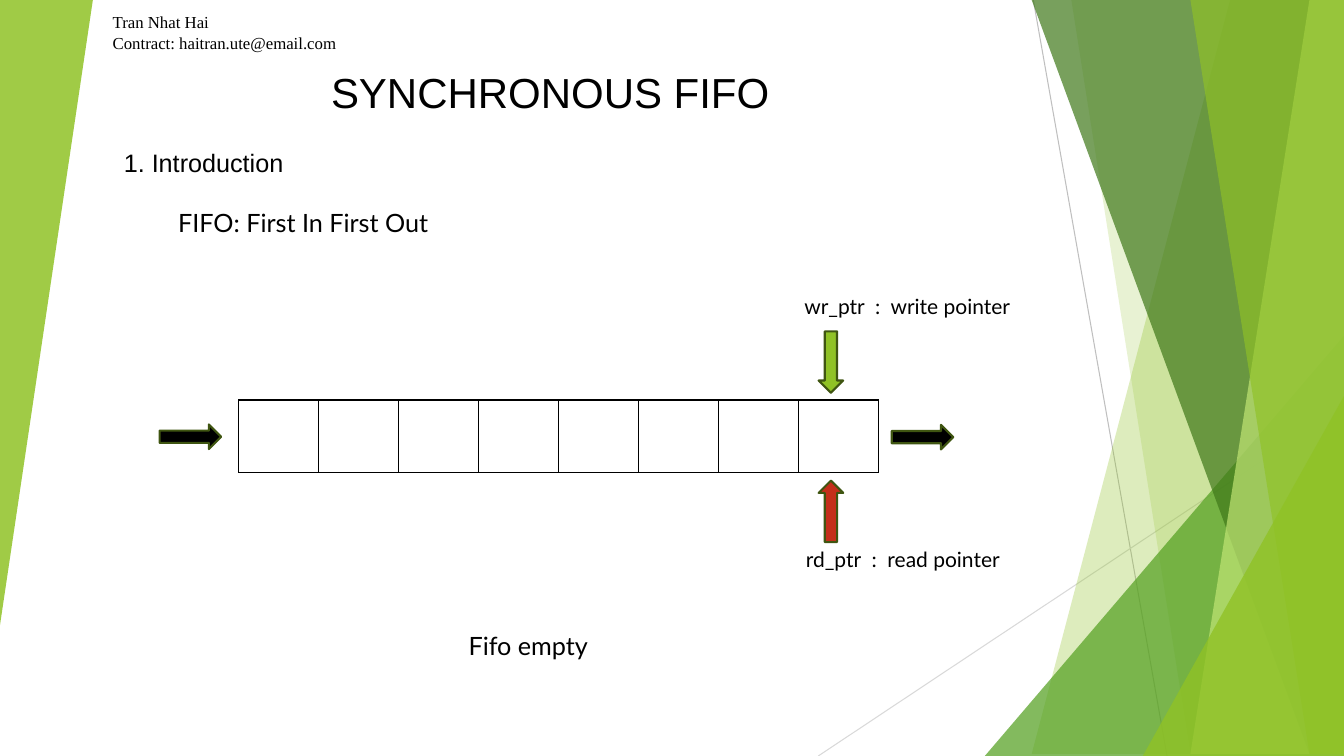
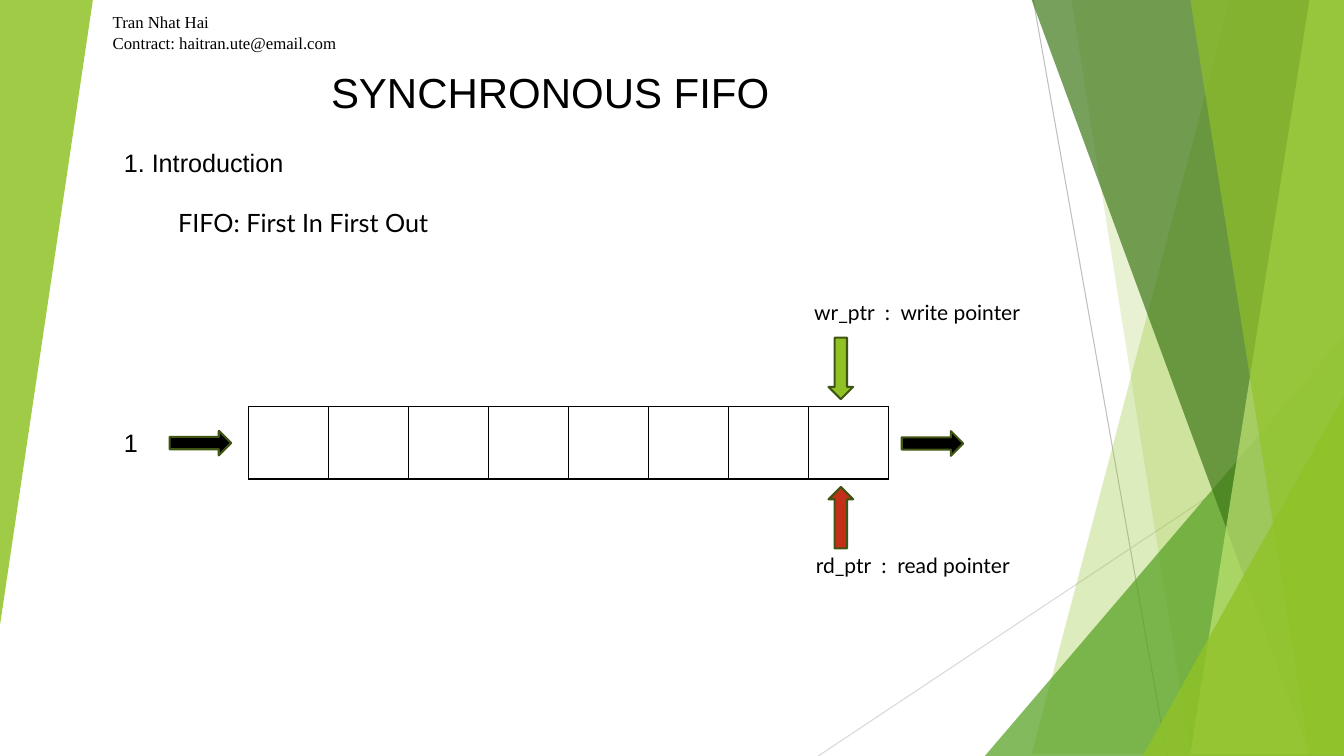
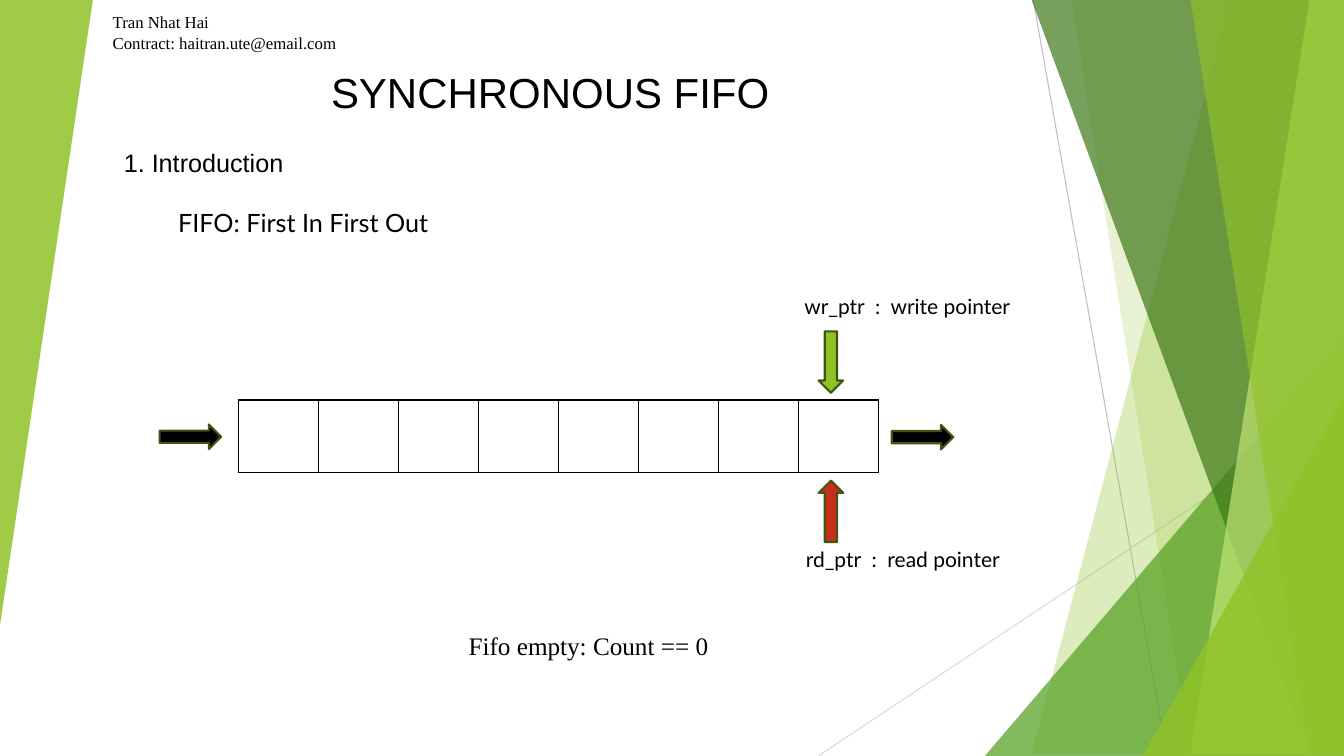
import pptx
import pptx.dml.color
import pptx.enum.shapes
import pptx.enum.text
import pptx.oxml
import pptx.oxml.ns
import pptx.util

Cm, Pt = pptx.util.Cm, pptx.util.Pt
RGBColor = pptx.dml.color.RGBColor
MSO_SHAPE = pptx.enum.shapes.MSO_SHAPE
PP_ALIGN = pptx.enum.text.PP_ALIGN

BLACK = RGBColor(0x00, 0x00, 0x00)
RED = RGBColor(0xC4, 0x2F, 0x1A)
LIME = RGBColor(0x90, 0xC2, 0x26)
PALE_LIME = RGBColor(0xC0, 0xE4, 0x74)
GREEN = RGBColor(0x54, 0xA0, 0x21)
DARK_GREEN = RGBColor(0x3F, 0x78, 0x19)
ARROW_EDGE = RGBColor(0x3F, 0x55, 0x11)
GREY = RGBColor(0xBF, 0xBF, 0xBF)
LIGHT_GREY = RGBColor(0xD9, 0xD9, 0xD9)

SANS, BODY, SERIF = "Arial", "Lato", "Times New Roman"

# All lengths below are centimetres.
WIDTH, HEIGHT = 33.87, 19.05

# x1, y1, x2, y2, colour
THIN_LINES = [
    (26.04, 0, 29.41, HEIGHT, GREY),
    (WIDTH, 10.24, 20.62, HEIGHT, LIGHT_GREY),
]
# Right-hand decoration, back to front.
# band: left edge at top, left edge at bottom; wedge: left, top
DECORATION = [
    ("band", 31.19, 25.5, LIME, 30),
    ("band", 26.67, 30.05, LIME, 20),
    ("wedge", 24.82, 8.46, GREEN, 72),
    ("band", 25.93, 32.79, DARK_GREEN, 70),
    ("band", 33.1, 30.28, PALE_LIME, 70),
    ("band", 30.38, 33.48, LIME, 65),
    ("wedge", 28.8, 9.98, LIME, 80),
]
LEFT_WEDGE = (0, 0, 2.34, 15.75)

# text, left, top, width, height, size, font, alignment
HEADINGS = [
    ("SYNCHRONOUS FIFO", 5.54, 1.55, 16.66, 1.55, 30, SANS, PP_ALIGN.CENTER),
    ("1. Introduction", 2.87, 3.58, 4.88, 1.02, 18, SANS, PP_ALIGN.LEFT),
    ("FIFO: First In First Out", 4.24, 5.11, 13.87, 1.02, 18, BODY, PP_ALIGN.LEFT),
    ("Tran Nhat Hai\nContract: haitran.ute@email.com",
     2.59, 0.18, 6.93, 1.27, 12, SERIF, PP_ALIGN.LEFT),
]

CELLS, QUEUE_W, QUEUE_H = 8, 16.13, 1.83
ARROW_W, ARROW_H = 0.62, 1.55
# Offsets from the queue's top left corner: dx, dy, rotation, colour
ARROWS = [
    (14.61, -1.73, 0, LIME),
    (14.61, 2.03, 180, RED),
    (-1.53, 0.15, 270, BLACK),
    (16.92, 0.16, 270, BLACK),
]
# text, dx, dy, width
POINTER_LABELS = [
    ("wr_ptr  :  write pointer", 14, -2.82, 7.7),
    ("rd_ptr  :  read pointer", 14.04, 3.56, 6.68),
]

# queue left, queue top, note
SLIDES = [
    (6.02, 10.08, ("Fifo empty", 11.56, 15.77, 4.11, 1.02, 18, BODY)),
    (6.27, 10.24, ("1", 2.87, 10.64, 0.94, 1.02, 18, SANS)),
    (6.02, 10.08, ("Fifo empty: Count == 0", 11.56, 15.77, 7.77, 1.02, 18, SERIF)),
]


def add_text(slide, text, x, y, w, h, size, font, align=PP_ALIGN.LEFT):
    tf = slide.shapes.add_textbox(Cm(x), Cm(y), Cm(w), Cm(h)).text_frame
    tf.word_wrap = True
    tf.auto_size = pptx.enum.text.MSO_AUTO_SIZE.SHAPE_TO_FIT_TEXT
    p = tf.paragraphs[0]
    p.text = text
    p.alignment = align
    p.font.size, p.font.name = Pt(size), font
    p.font.color.rgb = BLACK


def add_line(slide, x1, y1, x2, y2, color):
    line = slide.shapes.add_connector(
        pptx.enum.shapes.MSO_CONNECTOR.STRAIGHT, Cm(x1), Cm(y1), Cm(x2), Cm(y2))
    line.line.color.rgb = color
    line.line.width = Pt(0.75)
    pptx.oxml.ns.qn("a:effectLst")
    line.element.spPr.append(
        pptx.oxml.parse_xml(f"<a:effectLst {pptx.oxml.ns.nsdecls('a')}/>"))
    return line


def paint(sp, color, opacity):
    """Give a borderless shape a see-through fill; opacity is in percent."""
    sp.shadow.inherit = False
    sp.line.fill.background()
    sp.fill.solid()
    sp.fill.fore_color.rgb = color
    clr = sp.element.spPr.find(".//" + pptx.oxml.ns.qn("a:srgbClr"))
    clr.append(pptx.oxml.parse_xml(
        f"<a:alpha {pptx.oxml.ns.nsdecls('a')} val='{opacity * 1000}'/>"))
    return sp


def add_band(slide, top_x, bottom_x):
    """Add a full-height band that reaches the slide's right edge."""
    builder = slide.shapes.build_freeform(top_x, 0, scale=Cm(1))
    builder.add_line_segments([(WIDTH, 0), (WIDTH, HEIGHT), (bottom_x, HEIGHT)])
    return builder.convert_to_shape()


def add_wedge(slide, x, y, w, h):
    sp = slide.shapes.add_shape(
        MSO_SHAPE.ISOSCELES_TRIANGLE, Cm(x), Cm(y), Cm(w), Cm(h))
    sp.adjustments[0] = 1
    return sp


def decorate_layout(layout, slide):
    """Draw the decoration on a slide, then move it to the shared layout."""
    parts = [add_line(slide, *line) for line in THIN_LINES]
    for kind, a, b, color, opacity in DECORATION:
        if kind == "band":
            sp = add_band(slide, a, b)
        else:
            sp = add_wedge(slide, a, b, WIDTH - a, HEIGHT - b)
        parts.append(paint(sp, color, opacity))
    left = paint(add_wedge(slide, *LEFT_WEDGE), LIME, 85)
    left.rotation = 180
    for part in parts + [left]:
        layout.shapes.element.append(part.element)


def set_borders(cell):
    tc_pr = cell._tc.get_or_add_tcPr()
    for i, side in enumerate(("lnL", "lnR", "lnT", "lnB")):
        tc_pr.insert(i, pptx.oxml.parse_xml(
            f"<a:{side} {pptx.oxml.ns.nsdecls('a')} w='{Pt(1)}'>"
            f"<a:solidFill><a:srgbClr val='{BLACK}'/></a:solidFill></a:{side}>"))


def add_queue(slide, x, y):
    table = slide.shapes.add_table(
        1, CELLS, Cm(x), Cm(y), Cm(QUEUE_W), Cm(QUEUE_H)).table
    table.first_row = table.horz_banding = False
    for cell in table.iter_cells():
        cell.fill.background()
        set_borders(cell)

    for dx, dy, rotation, color in ARROWS:
        sp = slide.shapes.add_shape(
            MSO_SHAPE.DOWN_ARROW, Cm(x + dx), Cm(y + dy), Cm(ARROW_W), Cm(ARROW_H))
        sp.shadow.inherit = False
        sp.rotation = rotation
        sp.fill.solid()
        sp.fill.fore_color.rgb = color
        sp.line.color.rgb = ARROW_EDGE
        sp.line.width = Pt(1.5)

    for text, dx, dy, w in POINTER_LABELS:
        add_text(slide, text, x + dx, y + dy, w, 0.89, 15, BODY)


def main():
    prs = pptx.Presentation()
    prs.slide_width, prs.slide_height = Cm(WIDTH), Cm(HEIGHT)
    blank = prs.slide_layouts[6]
    for i, (x, y, note) in enumerate(SLIDES):
        slide = prs.slides.add_slide(blank)
        if i == 0:
            decorate_layout(blank, slide)
        for heading in HEADINGS:
            add_text(slide, *heading)
        add_queue(slide, x, y)
        add_text(slide, *note)
    prs.save("out.pptx")


if __name__ == "__main__":
    main()
